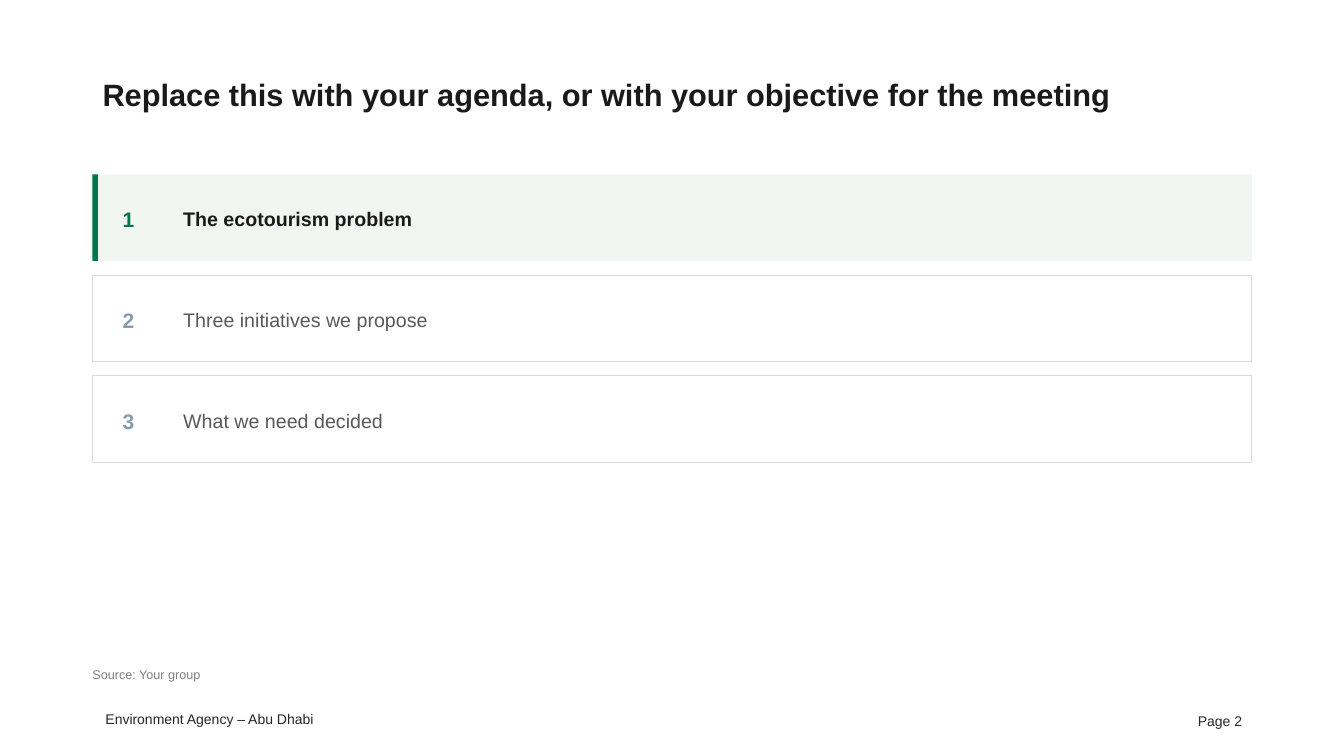
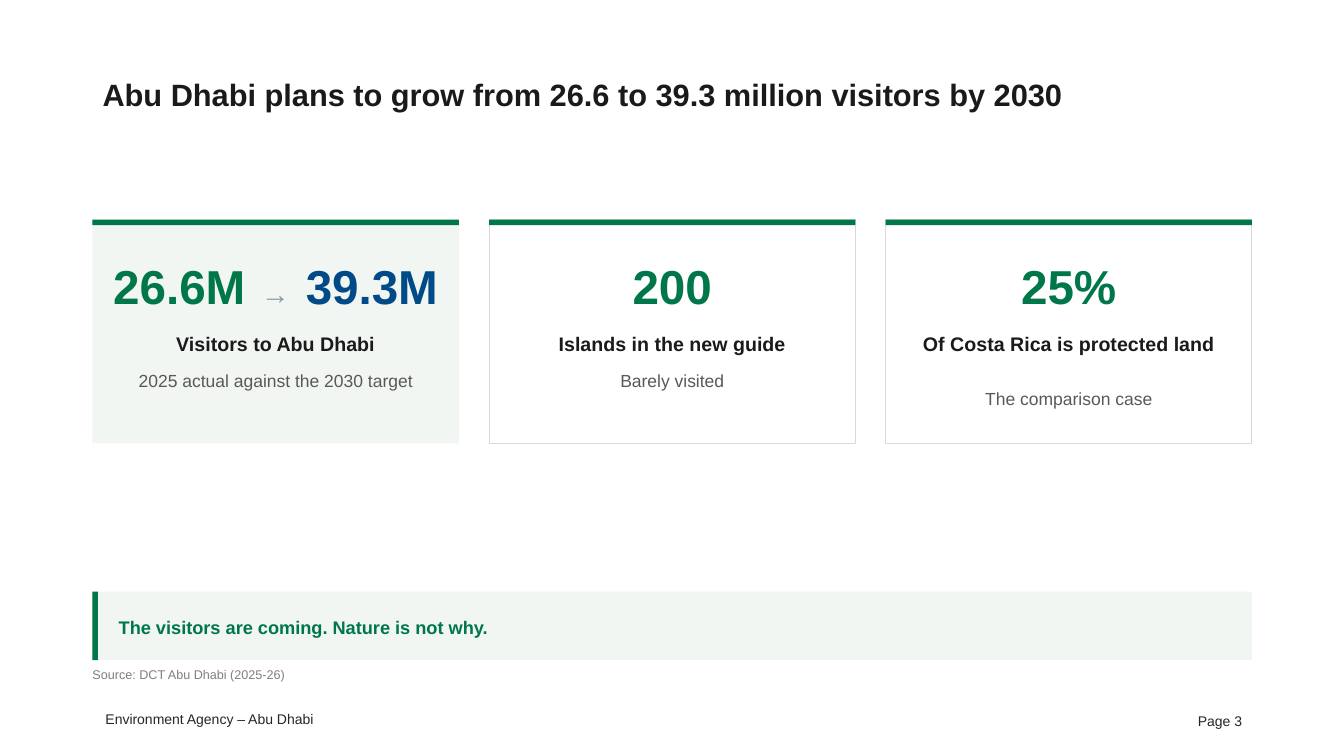
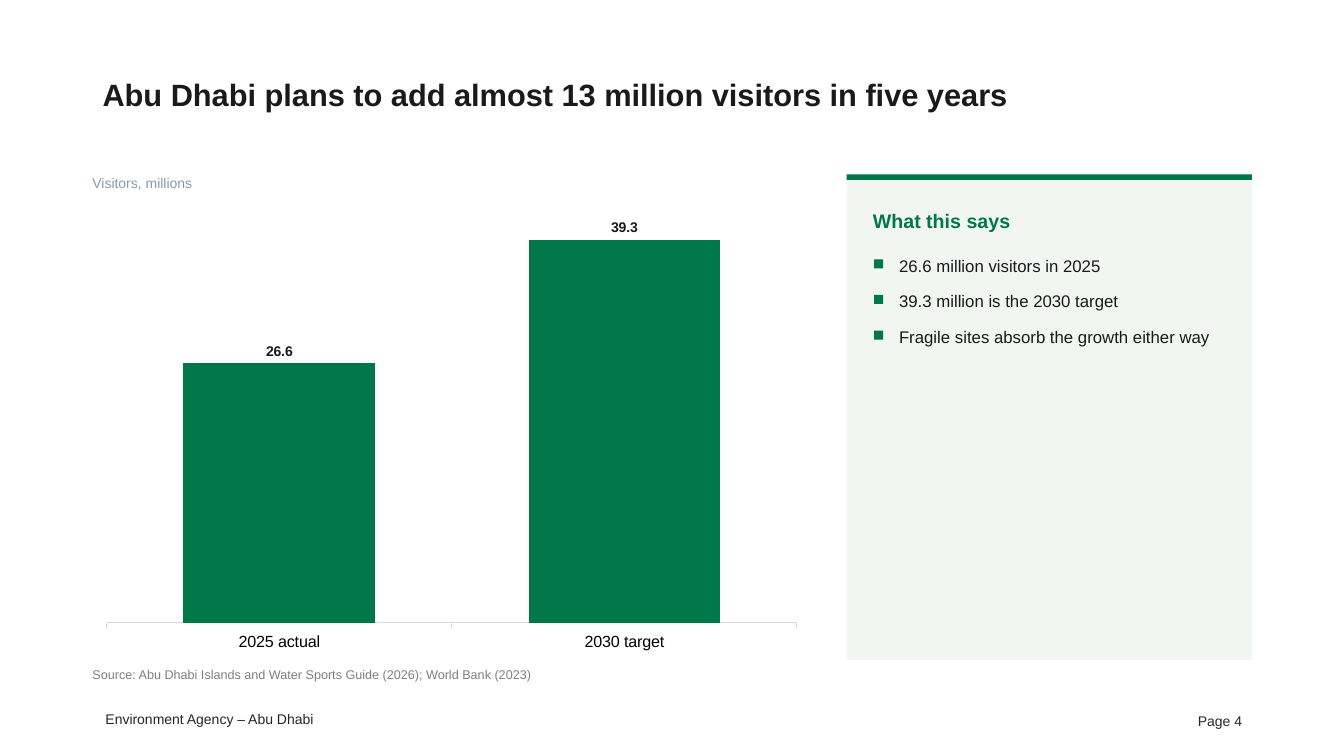
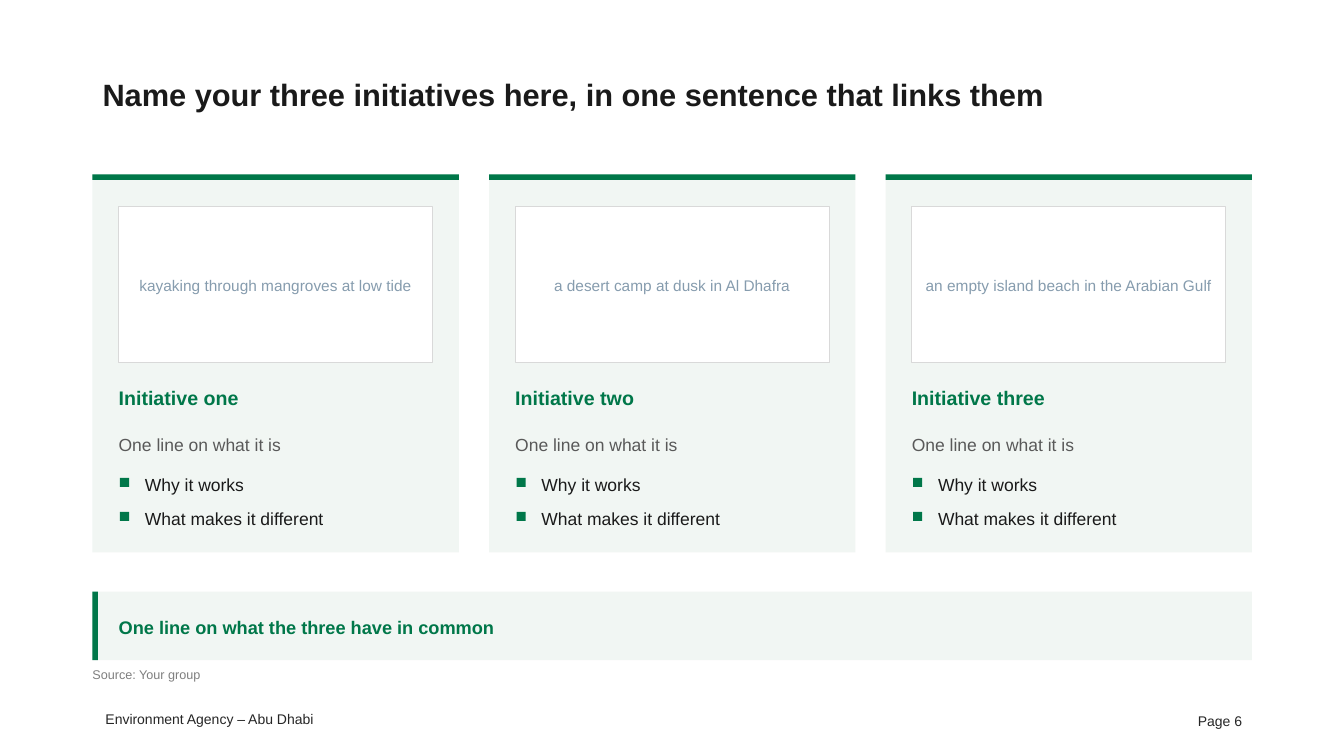
from dataclasses import dataclass

from pptx import Presentation
from pptx.chart.data import CategoryChartData as ChartData
from pptx.dml.color import RGBColor as Rgb
from pptx.enum.chart import XL_CHART_TYPE as Kind, XL_LABEL_POSITION as Spot
from pptx.enum.chart import XL_TICK_MARK as Tick
from pptx.enum.shapes import MSO_SHAPE as Form
from pptx.enum.text import MSO_ANCHOR as Anchor, MSO_AUTO_SIZE as Fit, PP_ALIGN as Align
from pptx.util import Inches, Pt


@dataclass(frozen=True)
class Theme:
    font: str = "Arial"
    # Colours
    green: str = "007749"
    blue: str = "004B87"
    mist: str = "F1F6F3"
    white: str = "FFFFFF"
    rule: str = "D9D9D9"
    ink: str = "1A1A1A"
    foot: str = "262626"
    body: str = "595959"
    slate: str = "869CAE"
    grey: str = "7F7F7F"
    black: str = "000000"
    # Type sizes in points
    title: float = 22
    big: float = 34
    arrow: float = 20.4
    num: float = 15
    head: float = 14
    note: float = 13
    text: float = 12.5
    list: float = 12
    axis: float = 11.5
    hint: float = 11
    small: float = 10
    fine: float = 9
    # Line spacing
    lead: float = 1.12


# Grid: each column and row is a tenth of an inch
CELL = Inches(0.1)
LEFT, WIDE = 9.17, 115
TOP, BASE = 17.3, 65.5
GAP, PAD, BAR = 3, 2.6, 0.55
T = Theme()


def third(i):
    """Left edge and width of one of three equal columns."""
    wide = (WIDE - 2 * GAP) / 3
    return LEFT + i * (wide + GAP), wide


class Deck:
    def __init__(self):
        self.prs = Presentation()
        self.prs.slide_width, self.prs.slide_height = Inches(13.33), Inches(7.5)
        self.slide = None

    def place(self, x, y, w, h):
        return [int(n * CELL) for n in (x, y, w, h)]

    def page(self, title, num, source):
        """Start a slide with its title, source line and footer."""
        self.slide = self.prs.slides.add_slide(self.prs.slide_layouts[5])
        head = self.slide.shapes.title
        head.left, head.top, head.width, head.height = self.place(LEFT, 4, WIDE, 10.5)
        frame = head.text_frame
        frame.auto_size, frame.vertical_anchor = Fit.NONE, Anchor.MIDDLE
        self.fill(frame, title, T.title, T.ink, bold=True, lead=1.05, after=0)
        self.text((LEFT, 66, 84, 2.2), source, T.fine, T.grey)
        foot = dict(align=Align.RIGHT, lead=1, after=0, inset=True)
        self.text((LEFT + WIDE - 30, 69.5, 30, 4), f"Page {num}", T.small, T.foot,
                  mid=True, **foot)
        self.text((9.15, 70, 22.9, 2.7), "Environment Agency – Abu Dhabi",
                  T.small, T.foot, **foot)

    def style(self, font, size, color, bold=False):
        font.name, font.size, font.bold = T.font, Pt(size), bold
        font.color.rgb = Rgb.from_string(color)

    def fill(self, frame, words, size, color, bold=False, align=Align.LEFT,
             lead=T.lead, after=3):
        frame.text = words
        para = frame.paragraphs[0]
        para.alignment, para.line_spacing = align, lead
        para.space_before, para.space_after = Pt(0), Pt(after)
        for run in para.runs:
            self.style(run.font, size, color, bold)

    def text(self, box, words, size, color, mid=False, inset=False, **look):
        frame = self.slide.shapes.add_textbox(*self.place(*box)).text_frame
        frame.word_wrap = True
        if not inset:
            frame.margin_left = frame.margin_right = 0
            frame.margin_top = frame.margin_bottom = 0
        frame.vertical_anchor = Anchor.MIDDLE if mid else Anchor.TOP
        self.fill(frame, words, size, color, **look)
        return frame

    def rect(self, box, color, line=None):
        shape = self.slide.shapes.add_shape(Form.RECTANGLE, *self.place(*box))
        shape.shadow.inherit = False
        shape.fill.solid()
        shape.fill.fore_color.rgb = Rgb.from_string(color)
        if line:
            shape.line.color.rgb = Rgb.from_string(line)
            shape.line.width = Pt(0.75)
        else:
            shape.line.fill.background()

    def panel(self, box, tint=True, side=None):
        """A tinted or outlined panel with a green bar on one side."""
        x, y, w, h = box
        self.rect(box, T.mist if tint else T.white, None if tint else T.rule)
        if side == "top":
            self.rect((x, y, w, BAR), T.green)
        elif side == "left":
            self.rect((x, y, BAR, h), T.green)

    def points(self, x, y, w, items, size, pitch):
        """Short lines, each with a green square, at an even pitch."""
        for i, words in enumerate(items):
            row = y + i * pitch
            self.rect((x + 0.13, row + 0.63, 0.9, 0.9), T.green)
            self.text((x + PAD, row, w - PAD, 2.1), words, size, T.ink)

    def band(self, words):
        """The closing message above the source line."""
        self.panel((LEFT, 58.7, WIDE, 6.8), side="left")
        self.text((LEFT + PAD, 58.7, WIDE - 2 * PAD, 6.8), words, T.note, T.green,
                  mid=True, bold=True)

    def step(self, i, words, live):
        """One agenda row."""
        y, h = TOP + 10 * i, 8.6
        self.panel((LEFT, y, WIDE, h), live, "left" if live else None)
        self.text((LEFT + 3, y, 5, h), str(i + 1), T.num,
                  T.green if live else T.slate, mid=True, bold=True)
        self.text((LEFT + 9, y, 103, h), words, T.head,
                  T.ink if live else T.body, mid=True, bold=live)

    def stat(self, i, parts, label, note, drop, tint):
        """One key figure; parts are (words, size, colour, bold, tracking)."""
        x, w = third(i)
        y = 21.8
        self.panel((x, y, w, 22.2), tint, "top")
        frame = self.text((x + 1.6, y + 3, w - 3.2, 7.1), "", T.big, T.green, mid=True,
                          align=Align.CENTER, lead=1, after=0)
        for words, size, color, bold, track in parts:
            run = frame.paragraphs[0].add_run()
            run.text = words
            self.style(run.font, size, color, bold)
            if track:
                run._r.get_or_add_rPr().set("spc", str(int(track * 100)))
        inner, wide = x + 2.2, w - 4.4
        self.text((inner, y + 10.85, wide, 3), label, T.head, T.ink, bold=True,
                  align=Align.CENTER)
        self.text((inner, y + drop, wide, 2.4), note, T.text, T.body,
                  align=Align.CENTER)

    def chart(self, box, names, vals):
        data = ChartData()
        data.categories = names
        data.add_series("Series 1", vals)
        chart = self.slide.shapes.add_chart(
            Kind.COLUMN_CLUSTERED, *self.place(*box), data).chart
        chart.has_legend = chart.has_title = False
        self.style(chart.font, T.axis, T.black)
        # Axes
        val, cat = chart.value_axis, chart.category_axis
        val.minimum_scale, val.maximum_scale = 0, 45
        val.has_major_gridlines = val.visible = False
        cat.major_tick_mark = Tick.OUTSIDE
        cat.format.line.color.rgb = Rgb.from_string(T.rule)
        cat.format.line.width = Pt(0.75)
        # Columns and their labels
        plot = chart.plots[0]
        plot.gap_width, plot.vary_by_categories = 80, False
        bars = plot.series[0].format.fill
        bars.solid()
        bars.fore_color.rgb = Rgb.from_string(T.green)
        plot.has_data_labels = True
        tags = plot.data_labels
        tags.show_value, tags.position = True, Spot.OUTSIDE_END
        self.style(tags.font, T.small, T.ink, True)

    def idea(self, i, name, hint):
        """One initiative card with a frame for a photo."""
        x, w = third(i)
        self.panel((x, TOP, w, 37.5), side="top")
        x, w = x + PAD, w - 2 * PAD
        photo = (x, TOP + 3.15, w, 15.5)
        self.rect(photo, T.white, T.rule)
        self.text(photo, hint, T.hint, T.slate, mid=True, align=Align.CENTER)
        self.text((x, 38, w, 3.2), name, T.head, T.green, bold=True)
        self.text((x, 42.8, w, 2.6), "One line on what it is", T.text, T.body)
        self.points(x, 46.77, w, ["Why it works", "What makes it different"],
                    T.text, 3.37)


def main():
    deck = Deck()

    # Agenda
    deck.page("Replace this with your agenda, or with your objective for the meeting",
              2, "Source: Your group")
    steps = ["The ecotourism problem", "Three initiatives we propose",
             "What we need decided"]
    for i, words in enumerate(steps):
        deck.step(i, words, i == 0)

    # Key figures
    deck.page("Abu Dhabi plans to grow from 26.6 to 39.3 million visitors by 2030",
              3, "Source: DCT Abu Dhabi (2025-26)")
    strong = (T.big, T.green, True, 0)
    faint = (T.arrow, T.slate, False)
    growth = [("26.6M", *strong), (" →", *faint, 5.67), (" ", *faint, 0),
              ("39.3M", T.big, T.blue, True, 0)]
    stats = [
        (growth, "Visitors to Abu Dhabi", "2025 actual against the 2030 target", 14.7),
        ([("200", *strong)], "Islands in the new guide", "Barely visited", 14.7),
        ([("25%", *strong)], "Of Costa Rica is protected land",
         "The comparison case", 16.4),
    ]
    for i, stat in enumerate(stats):
        deck.stat(i, *stat, tint=i == 0)
    deck.band("The visitors are coming. Nature is not why.")

    # Chart and reading
    deck.page("Abu Dhabi plans to add almost 13 million visitors in five years", 4,
              "Source: Abu Dhabi Islands and Water Sports Guide (2026); World Bank (2023)")
    wide, tall = 0.62 * WIDE, BASE - TOP
    deck.chart((LEFT, TOP, wide, tall), ["2025 actual", "2030 target"], [26.6, 39.3])
    deck.text((LEFT, 17.1, wide, 2.4), "Visitors, millions", T.small, T.slate)
    x, w = LEFT + wide + 3.5, WIDE - wide - 3.5
    deck.panel((x, TOP, w, tall), side="top")
    x, w = x + PAD, w - 2 * PAD
    deck.text((x, 20.45, w, 3), "What this says", T.head, T.green, bold=True)
    deck.points(x, 25.1, w,
                ["26.6 million visitors in 2025", "39.3 million is the 2030 target",
                 "Fragile sites absorb the growth either way"], T.list, 3.53)

    # Initiatives
    deck.page("Name your three initiatives here, in one sentence that links them",
              6, "Source: Your group")
    ideas = [("Initiative one", "kayaking through mangroves at low tide"),
             ("Initiative two", "a desert camp at dusk in Al Dhafra"),
             ("Initiative three", "an empty island beach in the Arabian Gulf")]
    for i, idea in enumerate(ideas):
        deck.idea(i, *idea)
    deck.band("One line on what the three have in common")

    deck.prs.save("out.pptx")


if __name__ == "__main__":
    main()
